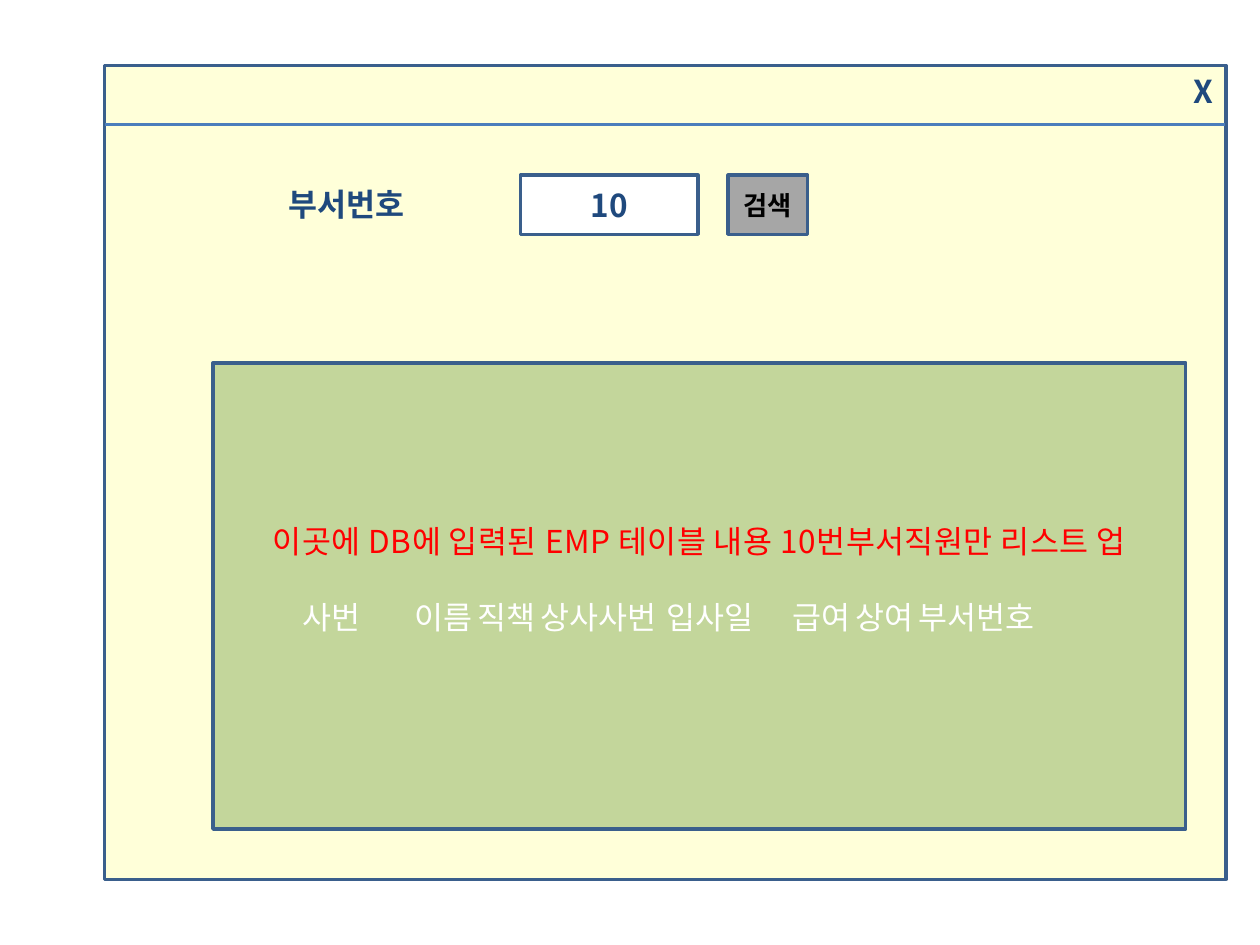
"""Build a search window mock-up that lists the staff of one department."""
import pptx
import pptx.util
import pptx.dml.color
import pptx.enum.shapes
import pptx.enum.text
import pptx.oxml.ns
import lxml.etree

Inches, Pt = pptx.util.Inches, pptx.util.Pt
Shape = pptx.enum.shapes.MSO_SHAPE
Align = pptx.enum.text.PP_ALIGN
Anchor = pptx.enum.text.MSO_ANCHOR
qn = pptx.oxml.ns.qn
FONT = "Noto Sans CJK KR"
HUES = {"cream": "FFFFD9", "edge": "3A5F8C", "rule": "4B7EBC", "navy": "1F497D",
        "white": "FFFFFF", "gray": "A6A6A6", "green": "C3D69B",
        "red": "FF0000", "black": "000000"}


def hue(name):
    return pptx.dml.color.RGBColor.from_string(HUES[name])


def write(para, text, color, size=18, bold=False, align=Align.CENTER):
    para.alignment = align
    run = para.add_run()
    run.text = text
    run.font.size = Pt(size)
    run.font.bold = bold
    run.font.color.rgb = hue(color)
    run.font.name = FONT
    east = lxml.etree.SubElement(run.font._element, qn("a:ea"))
    east.set("typeface", FONT)
    return run


deck = pptx.Presentation()
deck.slide_width, deck.slide_height = Inches(10), Inches(7.5)
slide = deck.slides.add_slide(deck.slide_layouts[6])

boxes = {}
for part, kind, fill, place in [
    ("window", Shape.RECTANGLE, "cream", (0.83, 0.52, 8.9, 6.46)),
    ("field", Shape.RECTANGLE, "white", (4.13, 1.39, 1.41, 0.47)),
    ("button", Shape.RECTANGLE, "gray", (5.78, 1.39, 0.63, 0.47)),
    ("list", Shape.FLOWCHART_PROCESS, "green", (1.69, 2.88, 7.72, 3.7)),
]:
    box = slide.shapes.add_shape(kind, *map(Inches, place))
    box.shadow.inherit = False
    box.fill.solid()
    box.fill.fore_color.rgb = hue(fill)
    box.line.color.rgb = hue("edge")
    box.line.width = Pt(2)
    box.text_frame.word_wrap = True
    box.text_frame.vertical_anchor = Anchor.MIDDLE
    boxes[part] = box.text_frame
    if part == "window":
        rule = slide.shapes.add_connector(
            pptx.enum.shapes.MSO_CONNECTOR.STRAIGHT,
            Inches(0.83), Inches(0.99), Inches(9.72), Inches(0.99))
        rule.line.color.rgb = hue("rule")
        rule.line.width = Pt(2)
        lxml.etree.SubElement(rule._element.spPr, qn("a:effectLst"))

frame = boxes["window"]
frame.vertical_anchor = Anchor.TOP
write(frame.paragraphs[0], "X", "navy", bold=True, align=Align.RIGHT)
label = frame.add_paragraph()
write(label, "부서번호", "navy", bold=True, align=Align.LEFT)
label.space_before = Pt(43)
label._p.get_or_add_pPr().set("marL", str(Inches(1.36)))
for para in frame.paragraphs:
    para.line_spacing = Pt(21.6)

write(boxes["field"].paragraphs[0], "10", "navy", bold=True)
write(boxes["button"].paragraphs[0], "검색", "black", size=15, bold=True)

frame = boxes["list"]
frame.margin_bottom = Inches(0.63)
hint = write(frame.paragraphs[0],
             "이곳에 DB에 입력된 EMP 테이블 내용 10번부서직원만 리스트 업", "red")
hint.font._element.set("spc", "28")
heads = {"사번": 0.61, "이름": 1.28, "직책": 1.95, "상사사번": 2.62,
         "입사일": 3.75, "급여": 4.65, "상여": 5.32, "부서번호": 5.99}
first, *rest = heads
row = frame.add_paragraph()
write(row, first, "white", align=Align.LEFT)
for head in rest:
    write(row, "\t" + head, "white", align=Align.LEFT)
for para in frame.paragraphs:
    para.line_spacing = Pt(43.4)
props = row._p.get_or_add_pPr()
props.set("marL", "0")
props.set("indent", str(Inches(heads[first])))
tabs = lxml.etree.SubElement(props, qn("a:tabLst"))
for head in rest:
    lxml.etree.SubElement(tabs, qn("a:tab"), pos=str(Inches(heads[head])), algn="l")

deck.save("out.pptx")
